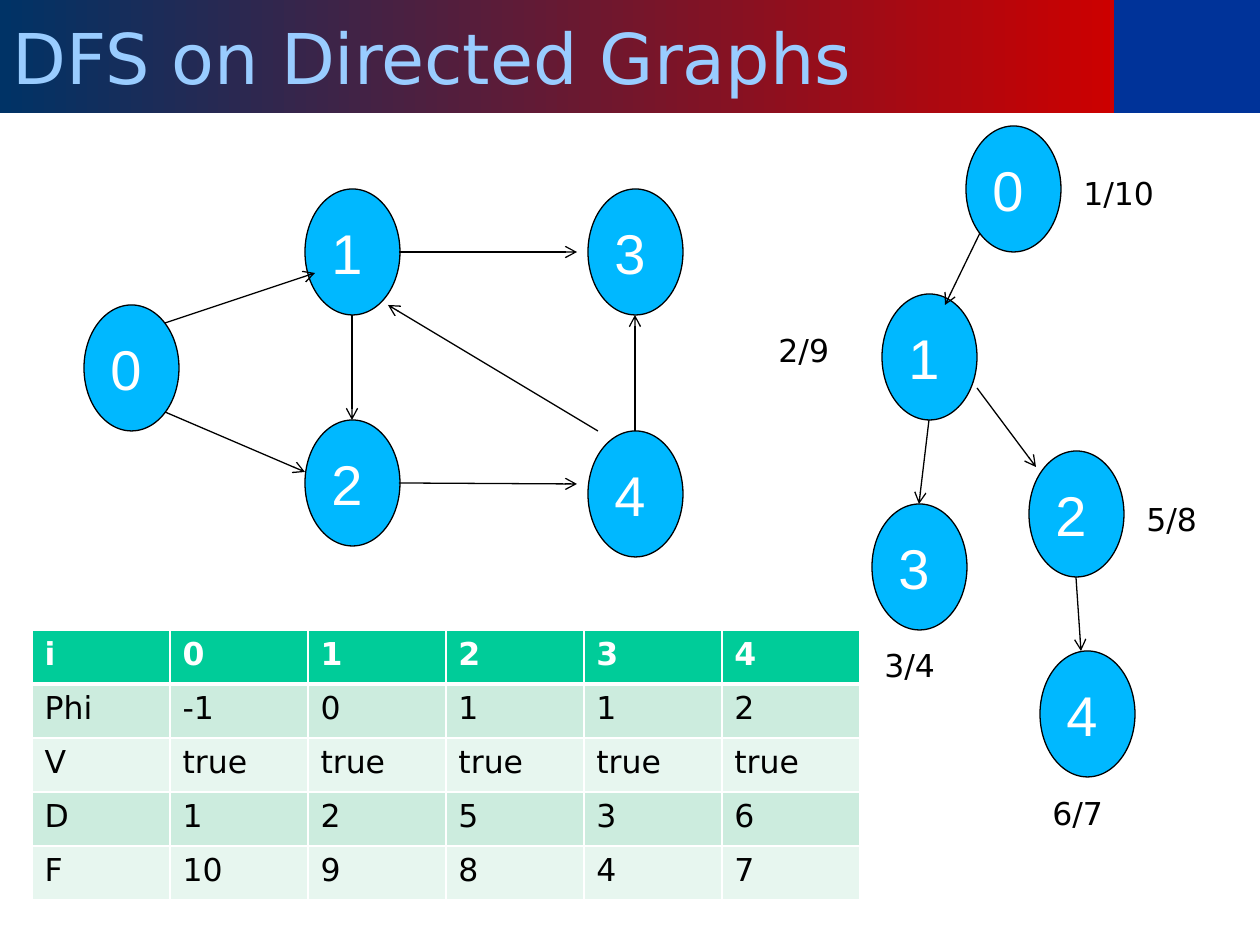
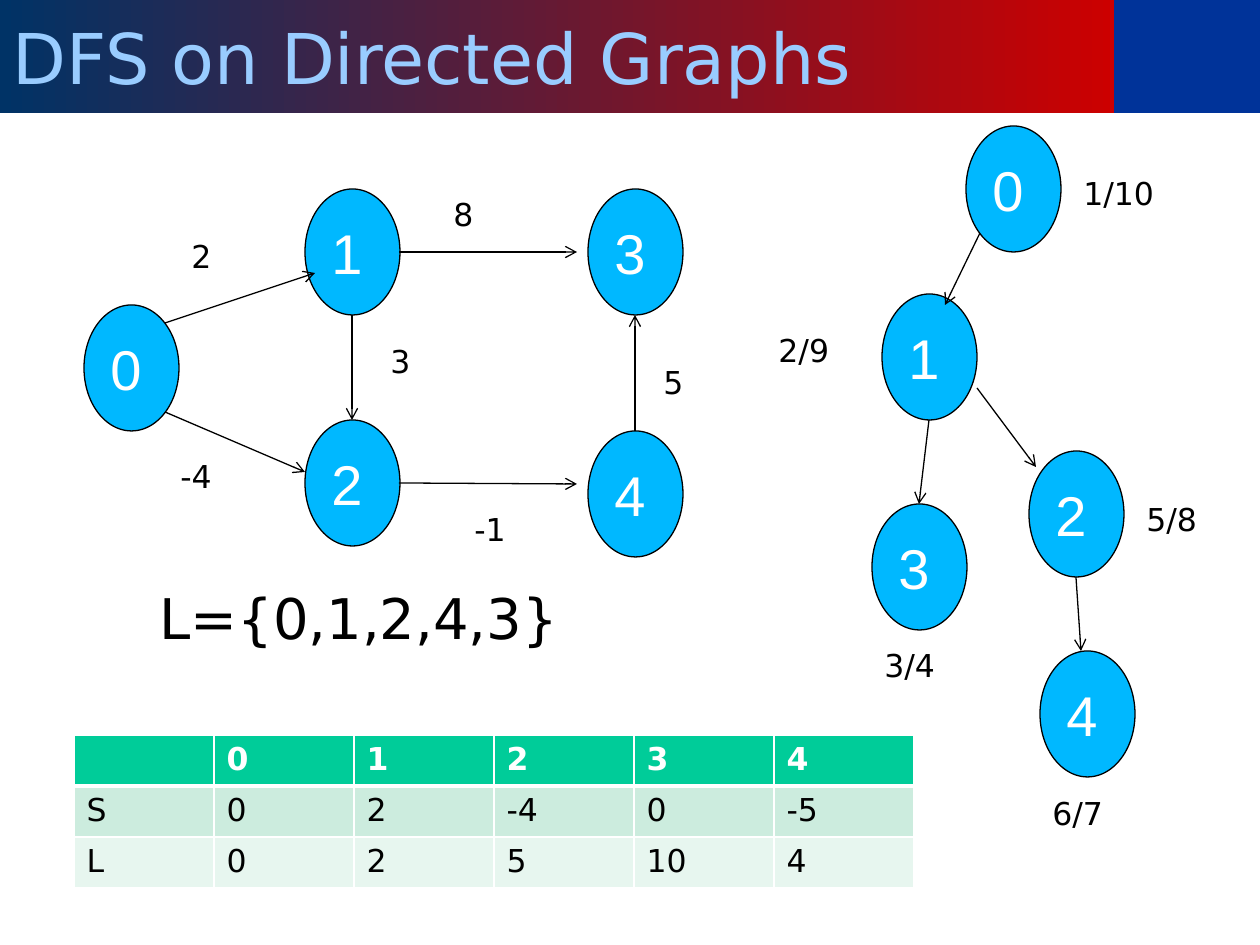
from lxml.etree import SubElement
from pptx import Presentation
from pptx.dml.color import RGBColor
from pptx.enum.shapes import MSO_CONNECTOR as CONNECTOR, MSO_SHAPE as SHAPE
from pptx.enum.text import MSO_ANCHOR as ANCHOR, MSO_AUTO_SIZE as AUTOSIZE, PP_ALIGN as ALIGN
from pptx.oxml.ns import qn
from pptx.util import Pt

PX_PER_INCH = 126
BLACK = RGBColor(0x00, 0x00, 0x00)
WHITE = RGBColor(0xFF, 0xFF, 0xFF)
NAVY = RGBColor(0x00, 0x33, 0x66)
RED = RGBColor(0xCC, 0x00, 0x00)
BLUE = RGBColor(0x00, 0x33, 0x99)
SKY = RGBColor(0x99, 0xCC, 0xFF)
CYAN = RGBColor(0x00, 0xB8, 0xFF)
GREEN = RGBColor(0x00, 0xCC, 0x99)
MINT = RGBColor(0xCC, 0xEC, 0xDE)
PALE = RGBColor(0xE7, 0xF6, 0xEF)

TITLE = {"name": "DejaVu Sans", "size": Pt(40), "color": SKY}
NODE = {"name": "Arial", "size": Pt(32), "color": WHITE}
LABEL = {"name": "DejaVu Sans", "size": Pt(18), "color": BLACK}
HEADING = {**LABEL, "color": WHITE, "bold": True}
BODY = {**LABEL, "bold": False}
ORDER = {**LABEL, "size": Pt(32)}

GRAPH_NODES = {"4": (588, 431), "3": (588, 189), "2": (305, 420),
               "1": (305, 189), "0": (84, 305)}
GRAPH_EDGES = [
    (165, 323, 315, 273),
    (165, 412, 305, 472),
    (352, 315, 352, 420),
    (399, 252, 577, 252),
    (399, 483, 577, 484),
    (635, 431, 635, 315),
]
BACK_EDGE = (598, 431, 388, 305)
TREE_NODES = {"0": (966, 126), "1": (882, 294), "2": (1029, 451),
              "3": (872, 504), "4": (1040, 651)}
TREE_EDGES = [
    (980, 233, 945, 305),
    (929, 420, 919, 504),
    (977, 388, 1036, 467),
    (1076, 577, 1081, 651),
]
VISIT_TIMES = {"2/9": (766, 325), "1/10": (1071, 168), "5/8": (1134, 494),
               "3/4": (872, 640), "6/7": (1040, 788)}
WEIGHTS = {"8": (441, 189), "3": (378, 336), "-1": (462, 504),
           "5": (651, 357), "-4": (168, 451), "2": (179, 231)}
LABEL_WIDTHS = {1: 45, 2: 60, 3: 81, 4: 101}

VISIT_ROWS = [
    ["i", "0", "1", "2", "3", "4"],
    ["Phi", "-1", "0", "1", "1", "2"],
    ["V", "true", "true", "true", "true", "true"],
    ["D", "1", "2", "5", "3", "6"],
    ["F", "10", "9", "8", "4", "7"],
]
PATH_ROWS = [
    ["", "0", "1", "2", "3", "4"],
    ["S", "0", "2", "-4", "0", "-5"],
    ["L", "0", "2", "5", "10", "4"],
]


def emu(*lengths):
    return [round(length * 914400 / PX_PER_INCH) for length in lengths]


class Deck:
    def __init__(self):
        self.presentation = Presentation()
        size = emu(1260, 945)
        self.presentation.slide_width, self.presentation.slide_height = size
        self.slide = None

    def new_slide(self, title):
        self.slide = self.presentation.slides.add_slide(self.presentation.slide_layouts[6])
        self.shape(SHAPE.RECTANGLE, (1113, 0, 147, 113), BLUE)
        banner = self.shape(SHAPE.RECTANGLE, (0, 0, 1114, 113))
        banner.fill.gradient()
        banner.fill.gradient_angle = 0
        for position, (stop, color) in enumerate(zip(banner.fill.gradient_stops, (NAVY, RED))):
            stop.color.rgb = color
            stop.position = position
        self.put_text(banner.text_frame, title, TITLE)

    def put_text(self, frame, text, style):
        paragraph = frame.paragraphs[0]
        paragraph.alignment = ALIGN.LEFT
        if text:
            run = paragraph.add_run()
            run.text = text
            for key, value in style.items():
                if key == "color":
                    run.font.color.rgb = value
                else:
                    setattr(run.font, key, value)

    def shape(self, kind, box, fill=None, line=None):
        shape = self.slide.shapes.add_shape(kind, *emu(*box))
        shape.shadow.inherit = False
        shape.text_frame.vertical_anchor = ANCHOR.MIDDLE
        if fill is not None:
            shape.fill.solid()
            shape.fill.fore_color.rgb = fill
        if line is None:
            shape.line.fill.background()
        else:
            shape.line.color.rgb = line
            shape.line.width = Pt(0.75)
        return shape

    def node(self, name, left, top):
        oval = self.shape(SHAPE.OVAL, (left, top, 95, 126), CYAN, BLACK)
        self.put_text(oval.text_frame, name, NODE)

    def arrow(self, *ends):
        edge = self.slide.shapes.add_connector(CONNECTOR.STRAIGHT, *emu(*ends))
        edge.line.color.rgb = BLACK
        edge.line.width = Pt(0.75)
        properties = edge._element.spPr
        SubElement(properties.find(qn("a:ln")), qn("a:tailEnd"), type="arrow")
        SubElement(properties, qn("a:effectLst"))

    def label(self, text, left, top, width=None, height=50, style=LABEL):
        width = width or LABEL_WIDTHS[len(text)]
        box = self.slide.shapes.add_textbox(*emu(left, top, width, height))
        box.text_frame.word_wrap = False
        box.text_frame.auto_size = AUTOSIZE.SHAPE_TO_FIT_TEXT
        self.put_text(box.text_frame, text, style)

    def border(self, cell, side, width):
        line = SubElement(cell._tc.get_or_add_tcPr(), qn(f"a:ln{side}"), w=str(int(Pt(width))))
        fill = SubElement(line, qn("a:solidFill"))
        SubElement(fill, qn("a:srgbClr"), val=str(WHITE))

    def table(self, rows, left, top, column_width, row_height):
        size = len(rows), len(rows[0])
        box = left, top, column_width * size[1], row_height * size[0]
        table = self.slide.shapes.add_table(*size, *emu(*box)).table
        for r, texts in enumerate(rows):
            for c, text in enumerate(texts):
                cell = table.cell(r, c)
                widths = {"L": 1, "R": 1, "T": 3 if r == 1 else 1, "B": 3 if r == 0 else 1}
                for side, width in widths.items():
                    self.border(cell, side, width)
                cell.fill.solid()
                cell.fill.fore_color.rgb = GREEN if r == 0 else MINT if r % 2 else PALE
                self.put_text(cell.text_frame, text, HEADING if r == 0 else BODY)

    def graph(self, nodes, edges):
        for name, place in nodes.items():
            self.node(name, *place)
        for ends in edges:
            self.arrow(*ends)

    def labels(self, places):
        for text, place in places.items():
            self.label(text, *place)

    def search_slide(self, edges):
        self.new_slide("DFS on Directed Graphs")
        self.graph(GRAPH_NODES, edges)
        self.graph(TREE_NODES, TREE_EDGES)
        self.labels(VISIT_TIMES)


def main():
    deck = Deck()

    deck.search_slide(GRAPH_EDGES + [BACK_EDGE])
    deck.table(VISIT_ROWS, 32, 630, 138, 54)

    deck.search_slide(GRAPH_EDGES)
    deck.label("L={0,1,2,4,3}", 147, 577, 437, 80, ORDER)
    deck.labels(WEIGHTS)
    deck.table(PATH_ROWS, 74, 735, 140, 51)

    deck.presentation.save("out.pptx")


if __name__ == "__main__":
    main()
